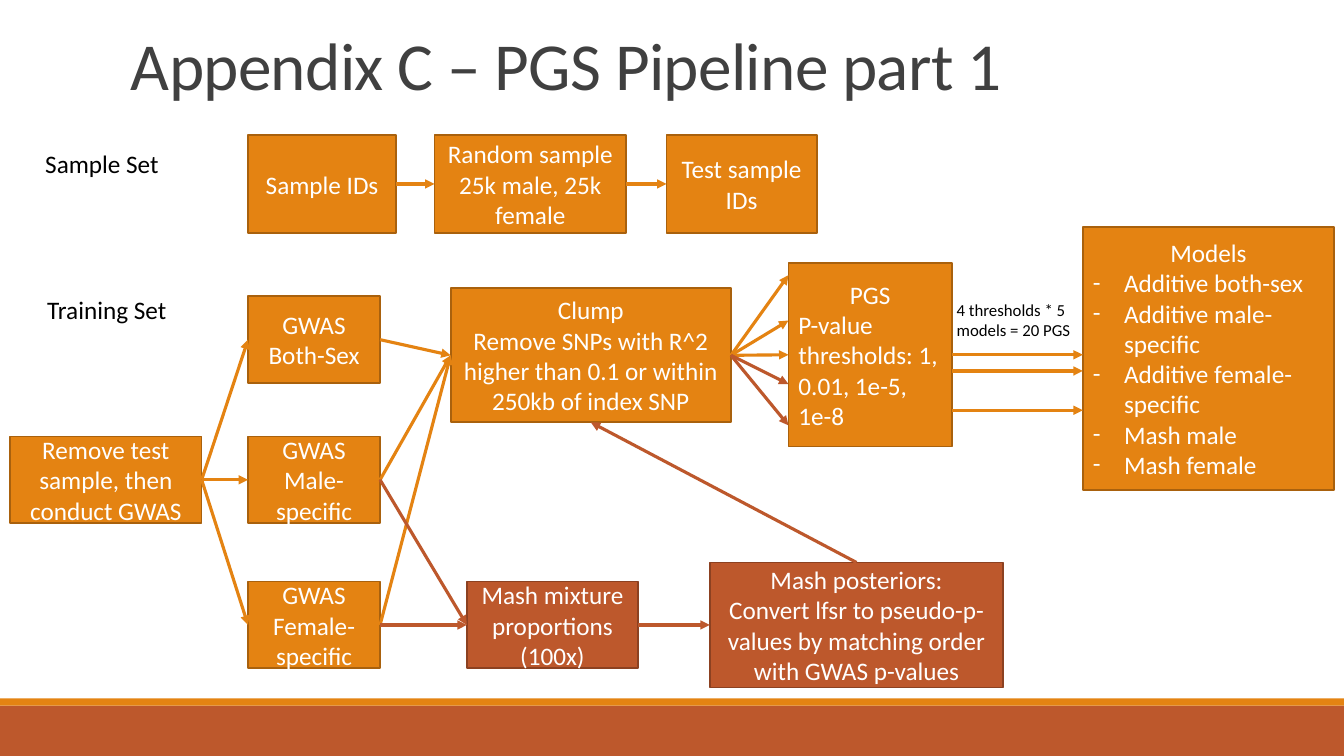
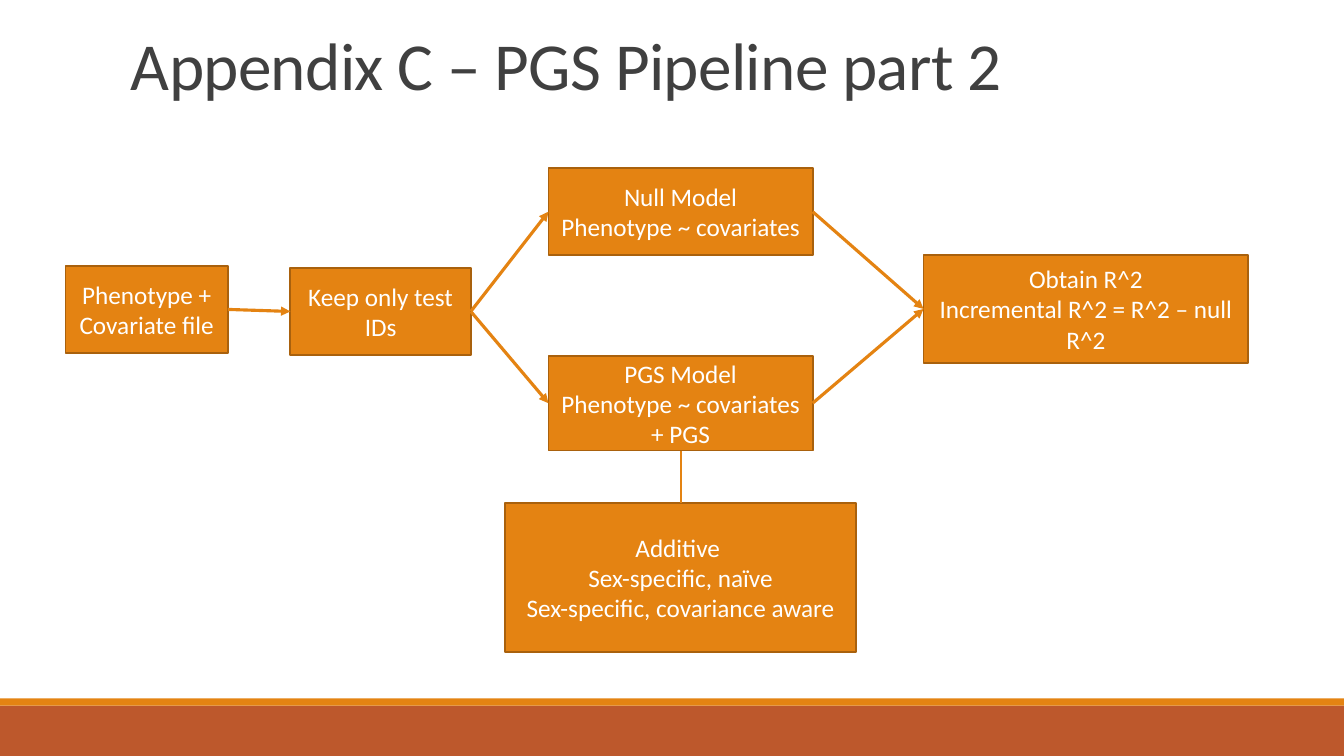
from dataclasses import dataclass

from lxml import etree
from pptx import Presentation
from pptx import util as u
from pptx.dml.color import RGBColor
from pptx.enum import shapes, text
from pptx.oxml.ns import qn

PX = 9144  # EMU per px, 100 px to the inch
TOP, LEFT, BOTTOM, RIGHT = range(4)  # connection sites of a rectangle


@dataclass(frozen=True)
class Theme:
    font: str = "Calibri"
    orange: str = "E48312"
    orange_edge: str = "A9610D"
    rust: str = "BD582C"
    rust_edge: str = "8C4121"
    title: str = "404040"
    ink: str = "000000"
    paper: str = "FFFFFF"
    title_size: int = 48
    body_size: int = 18
    note_size: int = 12
    edge_width: float = 1.25
    stem_width: float = 1.5
    arrow_width: float = 2.25


THEME = Theme()
CENTER = {"alignment": text.PP_ALIGN.CENTER}
PLAIN = {"alignment": text.PP_ALIGN.LEFT}
TITLE = {"alignment": text.PP_ALIGN.LEFT, "line_spacing": 0.85}


def px(*lengths):
    return [u.Emu(length * PX) for length in lengths]


def rgb(color):
    return RGBColor.from_string(color)


def set_values(target, values):
    for name, value in values.items():
        setattr(target, name, value)


def write(frame, lines, size, color, formats):
    """Write one paragraph per line; the last format serves all further lines."""
    for index, line in enumerate(lines):
        paragraph = frame.paragraphs[0] if index == 0 else frame.add_paragraph()
        set_values(paragraph, formats[min(index, len(formats) - 1)])
        run = paragraph.add_run()
        run.text = line
        set_values(run.font, {"name": THEME.font, "size": u.Pt(size)})
        run.font.color.rgb = rgb(color)


def add_bullet(paragraph, indent=31):
    properties = paragraph._p.get_or_add_pPr()
    properties.set("marL", str(indent * PX))
    properties.set("indent", str(-indent * PX))
    etree.SubElement(properties, qn("a:buFont")).set("typeface", THEME.font)
    etree.SubElement(properties, qn("a:buChar")).set("char", "-")


def add_rectangle(slide, place, fill):
    shape = slide.shapes.add_shape(shapes.MSO_SHAPE.RECTANGLE, *px(*place))
    shape.shadow.inherit = False
    shape.fill.solid()
    shape.fill.fore_color.rgb = rgb(fill)
    shape.line.fill.background()
    return shape


def add_box(slide, place, *lines, formats=(CENTER,),
            fill=THEME.orange, edge=THEME.orange_edge):
    shape = add_rectangle(slide, place, fill)
    shape.line.color.rgb = rgb(edge)
    shape.line.width = u.Pt(THEME.edge_width)
    set_values(shape.text_frame, {"word_wrap": True,
                                  "vertical_anchor": text.MSO_ANCHOR.MIDDLE})
    write(shape.text_frame, lines, THEME.body_size, THEME.paper, formats)
    return shape


def add_mash_box(slide, place, *lines):
    return add_box(slide, place, *lines, fill=THEME.rust, edge=THEME.rust_edge)


def add_text(slide, place, line, size=THEME.body_size, color=THEME.ink, style=PLAIN):
    frame = slide.shapes.add_textbox(*px(*place)).text_frame
    set_values(frame, {"word_wrap": True, "vertical_anchor": text.MSO_ANCHOR.TOP})
    write(frame, [line], size, color, [style])
    return frame


def add_line(slide, start, end, color=THEME.orange, width=THEME.arrow_width, arrow=True):
    """Draw a line; each end is an (x, y) point or a (shape, site) pair."""
    points = [(0, 0) if hasattr(at[0], "shape_type") else at for at in (start, end)]
    line = slide.shapes.add_connector(
        shapes.MSO_CONNECTOR.STRAIGHT, *px(*points[0], *points[1]))
    for at, glue in ((start, line.begin_connect), (end, line.end_connect)):
        if hasattr(at[0], "shape_type"):
            glue(*at)
    line.line.color.rgb = rgb(color)
    line.line.width = u.Pt(width)
    if arrow:
        outline = line.line._get_or_add_ln()
        etree.SubElement(outline, qn("a:tailEnd")).set("type", "triangle")
    etree.SubElement(line._element.spPr, qn("a:effectLst"))


def flow(slide, source, target, color=THEME.orange):
    add_line(slide, (source, RIGHT), (target, LEFT), color)


def add_slide(presentation, title):
    slide = presentation.slides.add_slide(presentation.slide_layouts[6])
    add_rectangle(slide, (0, 700, 1333, 50), THEME.rust)
    add_rectangle(slide, (0, 693, 1333, 7), THEME.orange)
    frame = add_text(slide, (120, 31, 1100, 86), title,
                     THEME.title_size, THEME.title, TITLE)
    frame.paragraphs[0].runs[0]._r.get_or_add_rPr().set("spc", "-50")
    return slide


def build_training(presentation):
    slide = add_slide(presentation, "Appendix C – PGS Pipeline part 1")

    add_text(slide, (35, 142, 165, 40), "Sample Set")
    sample_steps = [
        add_box(slide, (left, 134, width, 97), label) for left, width, label in (
            (246, 147, "Sample IDs"),
            (431, 190, "Random sample 25k male, 25k female"),
            (661, 149, "Test sample IDs"))]
    for source, target in zip(sample_steps, sample_steps[1:]):
        flow(slide, source, target)

    add_text(slide, (37, 287, 165, 40), "Training Set")
    remove = add_box(slide, (10, 433, 190, 86), "Remove test sample, then conduct GWAS")
    both, male, female = [
        add_box(slide, (246, top, 131, 86), "GWAS", group) for top, group in (
            (294, "Both-Sex"), (433, "Male-specific"), (577, "Female-specific"))]
    clump = add_box(slide, (447, 286, 278, 133), "Clump",
                    "Remove SNPs with R^2 higher than 0.1 or within 250kb of index SNP")
    add_box(slide, (782, 261, 162, 182), "PGS",
            "P-value thresholds: 1, 0.01, 1e-5, 1e-8", formats=(CENTER, PLAIN))
    models = add_box(slide, (1074, 225, 249, 261), "Models", "Additive both-sex",
                     "Additive male-specific", "Additive female-specific",
                     "Mash male", "Mash female", formats=(CENTER, PLAIN))
    for paragraph in models.text_frame.paragraphs[1:]:
        add_bullet(paragraph)
    mixture = add_mash_box(slide, (463, 577, 170, 86), "Mash mixture proportions (100x)")
    posteriors = add_mash_box(
        slide, (704, 558, 291, 124), "Mash posteriors:",
        "Convert lfsr to pseudo-p-values by matching order with GWAS p-values")

    for gwas in (both, male, female):
        flow(slide, remove, gwas)
        flow(slide, gwas, clump)
    for source, target in ((male, mixture), (female, mixture), (mixture, posteriors)):
        flow(slide, source, target, THEME.rust)
    add_line(slide, (posteriors, TOP), (clump, BOTTOM), THEME.rust)

    for color, heights in ((THEME.orange, (273, 318, 352)), (THEME.rust, (381, 422))):
        for height in heights:
            add_line(slide, (clump, RIGHT), (782, height), color)
    for height in (352, 368, 407):
        add_line(slide, (944, height), (1074, height))
    add_text(slide, (939, 292, 134, 50), "4 thresholds * 5 models = 20 PGS",
             THEME.note_size)


def build_evaluation(presentation):
    slide = add_slide(presentation, "Appendix C – PGS Pipeline part 2")
    phenotype = add_box(slide, (65, 264, 161, 86), "Phenotype + Covariate file")
    keep = add_box(slide, (288, 266, 179, 86), "Keep only test IDs")
    null_model = add_box(slide, (544, 167, 262, 86),
                         "Null Model", "Phenotype ~ covariates")
    pgs_model = add_box(slide, (544, 353, 262, 94),
                        "PGS Model", "Phenotype ~ covariates + PGS")
    result = add_box(slide, (916, 253, 322, 107),
                     "Obtain R^2", "Incremental R^2 = R^2 – null R^2")
    variants = add_box(slide, (501, 499, 348, 148), "Additive ",
                       "Sex-specific, naïve", "Sex-specific, covariance aware")

    flow(slide, phenotype, keep)
    for model in (null_model, pgs_model):
        flow(slide, keep, model)
        flow(slide, model, result)
    add_line(slide, (pgs_model, BOTTOM), (variants, TOP),
             width=THEME.stem_width, arrow=False)


def main():
    presentation = Presentation()
    presentation.slide_width, presentation.slide_height = px(1333, 750)
    build_training(presentation)
    build_evaluation(presentation)
    presentation.save("out.pptx")


if __name__ == "__main__":
    main()
